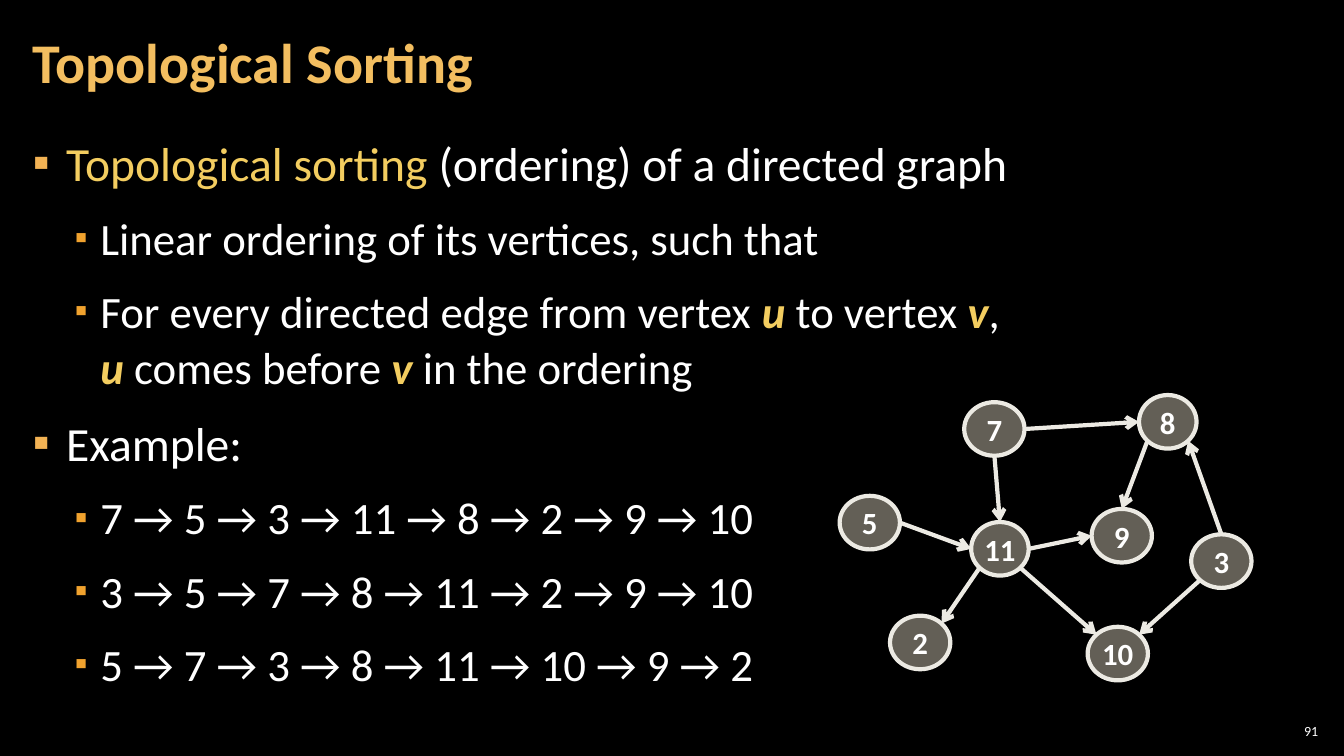
"""Build the topological sorting slide."""
from lxml.etree import SubElement
from pptx import Presentation
from pptx.dml.color import RGBColor
from pptx.enum.shapes import MSO_CONNECTOR as Line, MSO_SHAPE as Shape
from pptx.enum.text import MSO_ANCHOR as Anchor, MSO_AUTO_SIZE as Auto, PP_ALIGN as Align
from pptx.oxml.ns import qn
from pptx.util import Cm, Pt

WHITE, GOLD, PALE, STONE = "FFFFFF", "F3CD60", "ECEAE3", "C7BFAC"
TITLE = "Topological Sorting"
PAGE = "91"
HUE = dict(color=GOLD)
VAR = dict(color=GOLD, bold=True, italic=True)
ITEMS = [
    (0, [("Topological sorting ", HUE), ("(ordering) of a directed graph", {})]),
    (1, [("Linear ordering of its vertices, such that", {})]),
    (1, [("For every directed edge from vertex ", {}), ("u", VAR),
         (" to vertex ", {}), ("v", VAR), (",", {}), ("\n", {}),
         ("u", VAR), (" comes before ", {}), ("v", VAR), (" in the ordering", {})]),
    (0, [("Example:", {})]),
    (1, [("7 → 5 → 3 → 11 → 8 → 2 → 9 → 10", {})]),
    (1, [("3 → 5 → 7 → 8 → 11 → 2 → 9 → 10", {})]),
    (1, [("5 → 7 → 3 → 8 → 11 → 10 → 9 → 2", {})]),
]
LEVELS = [dict(size=34, left=0.84, hang=0.84, color="F2B254", scale=100),
          dict(size=32, left=1.7, hang=0.64, color="F0A22E", scale=80)]
WIDE, SLIM, HIGH = 1.52, 1.45, 1.35
NODES = {
    "9": (28.27, 13.5, WIDE), "11": (25.2, 13.83, SLIM), "2": (23.19, 16.19, WIDE),
    "8": (29.43, 10.63, SLIM), "10": (28.17, 16.47, WIDE), "3": (30.78, 14.14, WIDE),
    "5": (21.92, 13.17, WIDE), "7": (25.06, 10.81, WIDE),
}
EDGES = [
    ("11", "E", "9", "W"), ("11", "SW", "2", "NE"), ("3", "SW", "10", "NE"),
    ("8", "SW", "9", "N"), ("3", "N", "8", "SE"), ("5", "E", "11", "W"),
    ("7", "S", "11", "N"), ("7", "E", "8", "W"), ("11", "SE", "10", "NW"),
]
DIAG = 0.5 ** 0.5
SITES = {"N": (0, -1), "S": (0, 1), "E": (1, 0), "W": (-1, 0),
         "NE": (DIAG, -DIAG), "NW": (-DIAG, -DIAG),
         "SE": (DIAG, DIAG), "SW": (-DIAG, DIAG)}


def rgb(code):
    return RGBColor.from_string(code)


def write(para, text, size=32, color=WHITE, bold=False, italic=False):
    if text == "\n":
        para.add_line_break()
        return
    run = para.add_run()
    run.text = text
    font = run.font
    font.name, font.size = "Calibri", Pt(size)
    font.bold, font.italic = bold, italic
    font.color.rgb = rgb(color)


def setup(frame, side, edge, anchor):
    frame.word_wrap = True
    frame.auto_size = Auto.NONE
    frame.vertical_anchor = anchor
    frame.margin_left = frame.margin_right = Cm(side)
    frame.margin_top = frame.margin_bottom = Cm(edge)
    return frame


def bullet(para, left, hang, color, scale):
    props = para._p.get_or_add_pPr()
    props.set("marL", str(Cm(left)))
    props.set("indent", str(-Cm(hang)))
    SubElement(SubElement(props, qn("a:buClr")), qn("a:srgbClr"), val=color)
    SubElement(props, qn("a:buSzPct"), val=str(scale * 1000))
    SubElement(props, qn("a:buFont"), typeface="Calibri")
    SubElement(props, qn("a:buChar"), char="▪")


def fill_list(frame):
    for i, (level, runs) in enumerate(ITEMS):
        para = frame.add_paragraph() if i else frame.paragraphs[0]
        look = dict(LEVELS[level])
        size = look.pop("size")
        para.level = level
        bullet(para, **look)
        para.line_spacing = 1.05
        para.space_before = Pt(6 if i else 0)
        para.space_after = Pt(6)
        for text, style in runs:
            write(para, text, size=size, **style)


def add_node(shapes, name):
    x, y, wide = NODES[name]
    node = shapes.add_shape(Shape.OVAL, Cm(x - wide / 2), Cm(y - HIGH / 2), Cm(wide), Cm(HIGH))
    node.shadow.inherit = False
    node.fill.solid()
    node.fill.fore_color.rgb = rgb(STONE)
    tone = node._element.spPr.find(qn("a:solidFill"))[0]
    SubElement(tone, qn("a:alpha"), val="50000")
    node.line.color.rgb = rgb(PALE)
    node.line.width = Pt(3)
    para = setup(node.text_frame, 0.1, 0.13, Anchor.MIDDLE).paragraphs[0]
    para.alignment = Align.CENTER
    write(para, name, size=22, bold=True)


def spot(name, site):
    x, y, wide = NODES[name]
    dx, dy = SITES[site]
    return Cm(x + dx * wide / 2), Cm(y + dy * HIGH / 2)


def add_edge(shapes, start, out, end, into):
    edge = shapes.add_connector(Line.STRAIGHT, *spot(start, out), *spot(end, into))
    edge.line.color.rgb = rgb(PALE)
    edge.line.width = Pt(3)
    SubElement(edge.line._get_or_add_ln(), qn("a:tailEnd"), type="arrow")
    SubElement(edge._element.spPr, qn("a:effectLst"))


def main():
    deck = Presentation()
    deck.slide_width, deck.slide_height = Cm(33.87), Cm(19.05)
    slide = deck.slides.add_slide(deck.slide_layouts[5])
    slide.background.fill.solid()
    slide.background.fill.fore_color.rgb = rgb("000000")
    shapes = slide.shapes

    title = shapes.title
    title.left, title.top, title.width, title.height = Cm(0.53), Cm(0.1), Cm(26.59), Cm(3.07)
    para = setup(title.text_frame, 0.3, 0.1, Anchor.MIDDLE).paragraphs[0]
    para.alignment = Align.LEFT
    para.line_spacing = 0.9
    write(para, TITLE, size=40, color="F3BE60", bold=True)

    body = shapes.add_textbox(Cm(0.53), Cm(3.2), Cm(32.79), Cm(15.47))
    fill_list(setup(body.text_frame, 0.3, 0.1, Anchor.TOP))

    page = shapes.add_textbox(Cm(32.13), Cm(18.14), Cm(1.19), Cm(0.56))
    para = setup(page.text_frame, 0.1, 0.1, Anchor.MIDDLE).paragraphs[0]
    para.alignment = Align.RIGHT
    write(para, PAGE, size=10)

    for name in NODES:
        add_node(shapes, name)
    for edge in EDGES:
        add_edge(shapes, *edge)
    deck.save("out.pptx")


if __name__ == "__main__":
    main()
